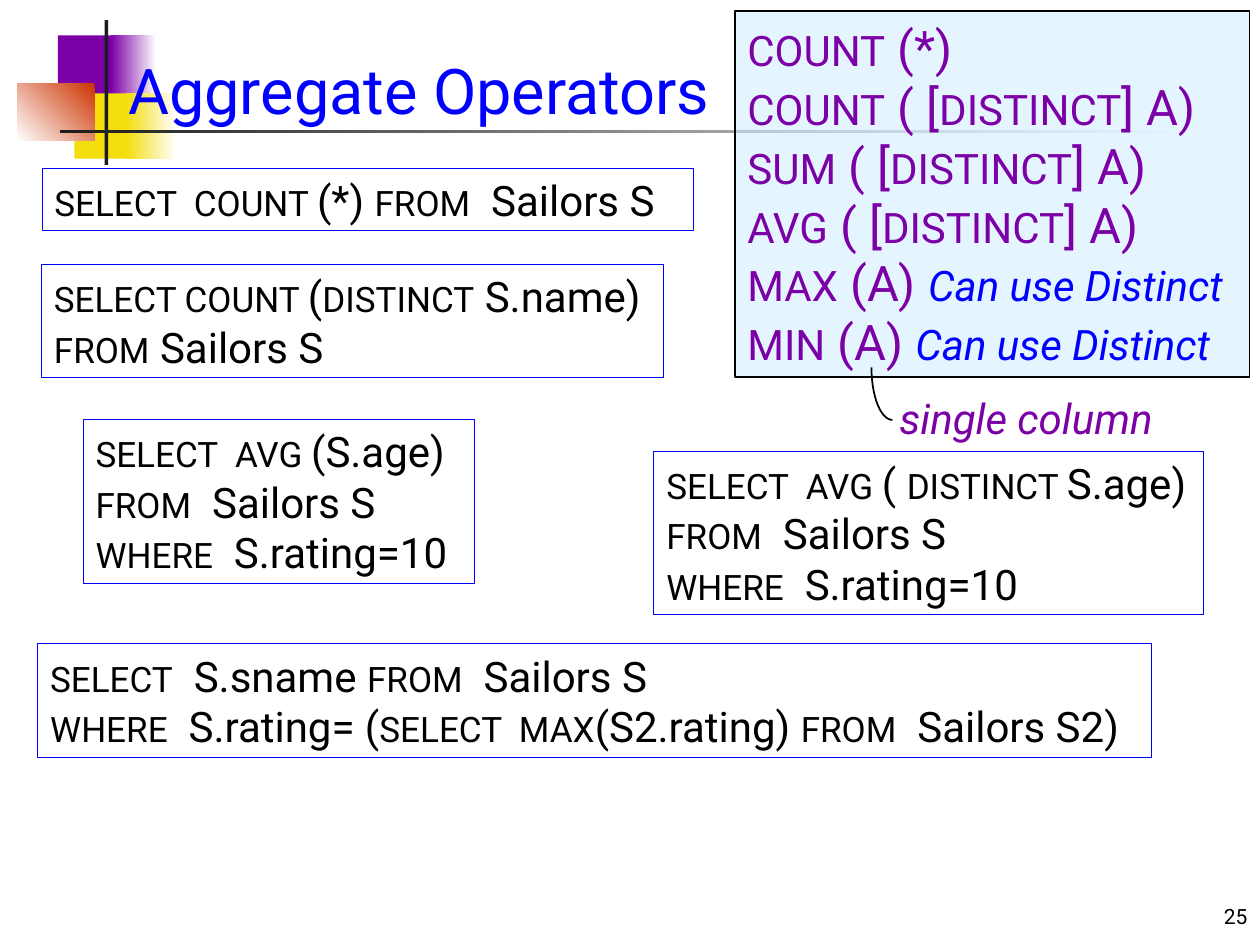
from itertools import cycle
from math import cos, pi, sin

from lxml import etree
from pptx import Presentation
from pptx import util as u
from pptx.dml.color import RGBColor
from pptx.enum import shapes, text
from pptx.oxml import ns

WHITE = RGBColor(0xFF, 0xFF, 0xFF)
BLACK = RGBColor(0x00, 0x00, 0x00)
CHARCOAL = RGBColor(0x1C, 0x1C, 0x1C)
PURPLE = RGBColor(0x7B, 0x00, 0xA6)
YELLOW = RGBColor(0xF3, 0xDD, 0x0D)
RED = RGBColor(0xCC, 0x33, 0x00)
BLUE = RGBColor(0x00, 0x00, 0xFF)
PALE_BLUE = RGBColor(0xCC, 0xEC, 0xFF)

COLUMNS, ROWS = 120, 90
NOTE = "Can use Distinct"
DISTINCT_ARGUMENT = [" ( [", "DISTINCT", "] A)"]
OPERATORS = [
    ["COUNT", " (*)"],
    *([name, *DISTINCT_ARGUMENT] for name in ("COUNT", "SUM", "AVG")),
    *([name, " (A) ", NOTE] for name in ("MAX", "MIN")),
]
RATED_SAILORS = [["FROM", "  Sailors S"], ["WHERE", "  S.rating=10"]]
QUERIES = [
    ((7.92, 39.96, 37.32, 15.6), False,
     [["SELECT  AVG ", "(S.age)"], *RATED_SAILORS]),
    ((4, 16, 62, 6), True,
     [["SELECT  COUNT ", "(*) ", "FROM", "  Sailors S"]]),
    ((62.28, 42.96, 52.32, 15.6), False,
     [["SELECT  AVG ", "( ", "DISTINCT ", "S.age)"], *RATED_SAILORS]),
    ((3.6, 61.32, 106.08, 10.8), False,
     [["SELECT", "  S.sname ", "FROM", "  Sailors S"],
      ["WHERE", "  S.rating= (", "SELECT  MAX", "(S2.rating) ",
       "FROM", "  Sailors S2)"]]),
    ((3.96, 25.2, 59.28, 10.8), False,
     [["SELECT COUNT ", "(", "DISTINCT", " S.name)"],
      ["FROM", " Sailors S"]]),
]


class SlideBuilder:
    font = "Roboto"

    def __init__(self, deck):
        self.column = deck.slide_width / COLUMNS
        self.row = deck.slide_height / ROWS
        self.page = deck.slides.add_slide(deck.slide_layouts[5])

    def place(self, column, row, width, height):
        return (round(column * self.column), round(row * self.row),
                round(width * self.column), round(height * self.row))

    def rectangle(self, area):
        box = self.page.shapes.add_shape(
            shapes.MSO_SHAPE.RECTANGLE, *self.place(*area))
        box.shadow.inherit = False
        return box

    def block(self, area, start, end=None, angle=180):
        box = self.rectangle(area)
        box.line.fill.background()
        if end is None:
            box.fill.solid()
            box.fill.fore_color.rgb = start
            return
        box.fill.gradient()
        box.fill.gradient_angle = angle
        for stop, colour in zip(box.fill.gradient_stops, (start, end)):
            stop.color.rgb = colour

    def add_lines(self, box, lines, sizes, colour, wrap=True, grow=True,
                  align=text.PP_ALIGN.LEFT, anchor=text.MSO_ANCHOR.TOP,
                  italic=False):
        frame = box.text_frame
        frame.word_wrap = wrap
        frame.auto_size = (text.MSO_AUTO_SIZE.SHAPE_TO_FIT_TEXT if grow
                           else text.MSO_AUTO_SIZE.NONE)
        frame.vertical_anchor = anchor
        for index, line in enumerate(lines):
            para = frame.add_paragraph() if index else frame.paragraphs[0]
            para.alignment = align
            for words, size in zip(line, cycle(sizes)):
                span = para.add_run()
                span.text = words
                span.font.name = self.font
                span.font.size = u.Pt(size)
                span.font.italic = italic or words == NOTE
                span.font.color.rgb = BLUE if words == NOTE else colour

    def title(self, area, words):
        box = self.page.shapes.title
        box.left, box.top, box.width, box.height = self.place(*area)
        box.element.getparent().append(box.element)
        self.add_lines(box, [[words]], [36], BLUE, grow=False,
                       anchor=text.MSO_ANCHOR.MIDDLE)

    def label(self, area, words, size, colour, **style):
        box = self.page.shapes.add_textbox(*self.place(*area))
        self.add_lines(box, [[words]], [size], colour, **style)

    def operator_panel(self, area, lines):
        box = self.rectangle(area)
        box.fill.solid()
        box.fill.fore_color.rgb = PALE_BLUE
        colour = next(box.element.spPr.iter(ns.qn("a:srgbClr")))
        etree.SubElement(colour, ns.qn("a:alpha")).set("val", "50000")
        box.line.color.rgb = BLACK
        box.line.width = u.Pt(1)
        self.add_lines(box, lines, (24, 28), PURPLE)

    def query(self, area, wrap, lines):
        box = self.rectangle(area)
        box.fill.background()
        box.line.color.rgb = BLUE
        box.line.width = u.Pt(0.5)
        self.add_lines(box, lines, (20, 24), BLACK, wrap=wrap)

    def quarter_arc(self, area, steps=24):
        left, top, width, height = self.place(*area)
        angles = [pi / 2 * step / steps for step in range(steps + 1)]
        points = [(left + width * (1 - sin(angle)), top + height * cos(angle))
                  for angle in angles]
        outline = self.page.shapes.build_freeform(*points[0])
        outline.add_line_segments(points[1:], close=False)
        curve = outline.convert_to_shape()
        curve.shadow.inherit = False
        curve.fill.background()
        curve.line.color.rgb = BLACK
        curve.line.width = u.Pt(1)


def main():
    deck = Presentation()
    deck.slide_width, deck.slide_height = u.Inches(10), u.Inches(7.5)
    slide = SlideBuilder(deck)
    slide.block((5.52, 3.36, 5.76, 6.24), PURPLE)
    slide.block((10.56, 3.36, 4.32, 6.24), WHITE, PURPLE)
    slide.block((7.08, 8.88, 5.52, 6.24), YELLOW)
    slide.block((12, 8.88, 4.8, 6.24), WHITE, YELLOW)
    slide.block((1.68, 7.92, 7.32, 5.52), RED, WHITE, angle=225)
    slide.block((9.96, 1.92, 0.36, 13.8), CHARCOAL)
    slide.block((5.76, 12.36, 108, 0.36), WHITE, CHARCOAL)
    slide.label((95, 83, 25, 6), "25", 12, BLACK, grow=False,
                align=text.PP_ALIGN.RIGHT, anchor=text.MSO_ANCHOR.BOTTOM)
    slide.title((11, 1, 106, 15), "Aggregate Operators")
    slide.operator_panel((70, 1.08, 49, 34.8), OPERATORS)
    for area, wrap, lines in QUERIES:
        slide.query(area, wrap, lines)
    slide.label((84.48, 36.84, 27.12, 6), "single column", 24, PURPLE,
                wrap=False, italic=True)
    slide.quarter_arc((83, 35, 2, 5))
    deck.save("out.pptx")


if __name__ == "__main__":
    main()
